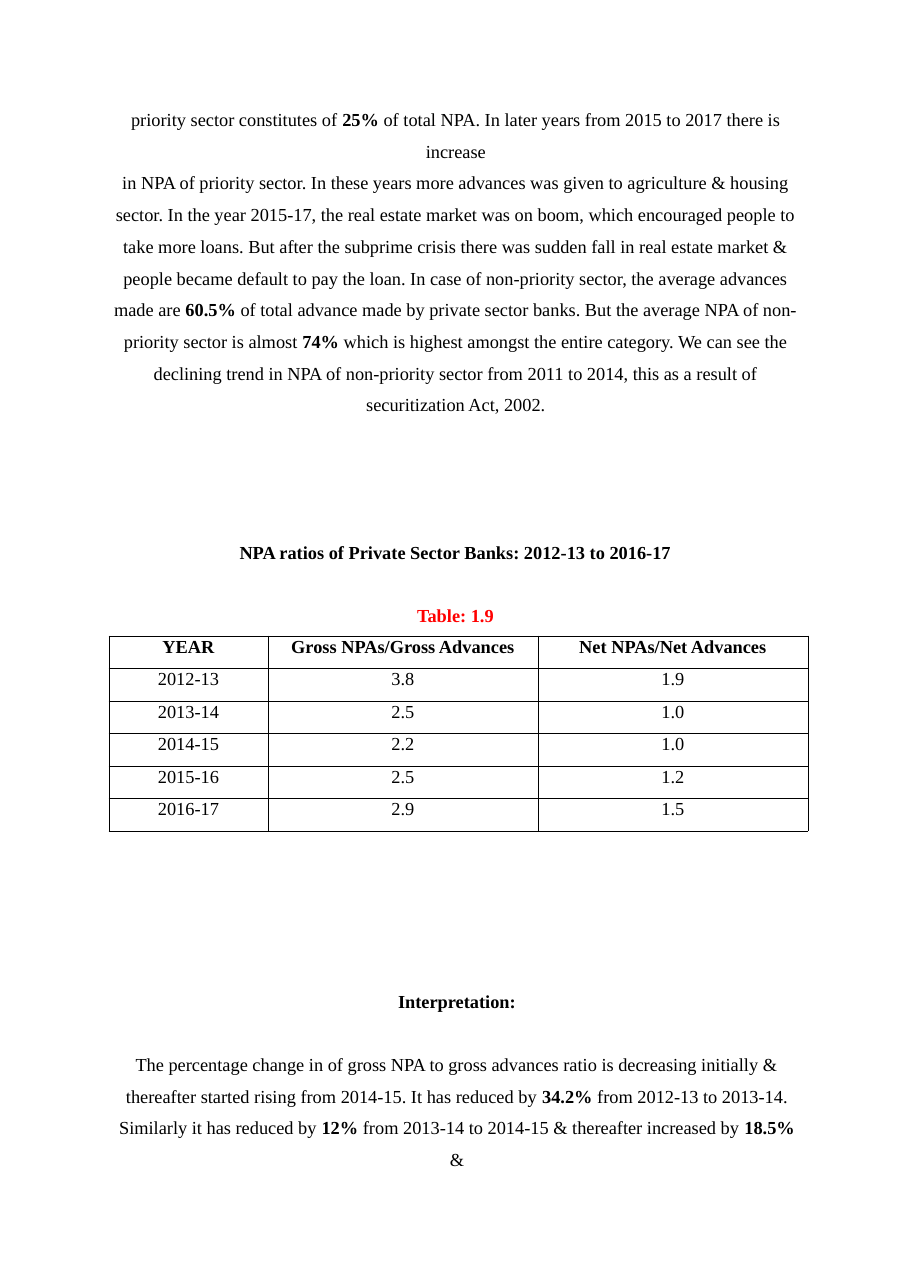
from lxml import etree
from pptx import Presentation
from pptx import util as u
from pptx.dml.color import RGBColor
from pptx.enum import text
from pptx.oxml import ns

PX = 914400 / 110.2
BLACK, RED = "000000", "FF0000"
FONT = "Times New Roman"

PRIORITY_SECTOR = (
    "priority sector constitutes of **25%** of total NPA. In later years "
    "from 2015 to 2017 there is increase")
NON_PRIORITY_SECTOR = (
    "in NPA of priority sector. In these years more advances was given to "
    "agriculture & housing sector. In the year 2015-17, the real estate market "
    "was on boom, which encouraged people to take more loans. But after the "
    "subprime crisis there was sudden fall in real estate market & people "
    "became default to pay the loan. In case of non-priority sector, the "
    "average advances made are **60.5%** of total advance made by private "
    "sector banks. But the average NPA of non-priority sector is almost "
    "**74%** which is highest amongst the entire category. We can see the "
    "declining trend in NPA of non-priority sector from 2011 to 2014, this as "
    "a result of securitization Act, 2002.")
RATIO_CHANGE = (
    "The percentage change in of gross NPA to gross advances ratio is "
    "decreasing initially & thereafter started rising from 2014-15. It has "
    "reduced by **34.2%** from 2012-13 to 2013-14. Similarly it has reduced by "
    "**12%** from 2013-14 to 2014-15 & thereafter increased by **18.5%** &")
NPA_RATIOS = [
    ("**YEAR**", "**Gross NPAs/Gross Advances**", "**Net NPAs/Net Advances**"),
    ("2012-13", "3.8", "1.9"),
    ("2013-14", "2.5", "1.0"),
    ("2014-15", "2.2", "1.0"),
    ("2015-16", "2.5", "1.2"),
    ("2016-17", "2.9", "1.5"),
]


def px(length):
    return u.Emu(round(length * PX))


def colour(hex_value):
    return RGBColor.from_string(hex_value)


def set_all(target, values):
    for name, value in values.items():
        setattr(target, name, value)


def write_paragraph(paragraph, words, ink=BLACK, **spacing):
    """Write centred words; parts between ** marks are bold."""
    set_all(paragraph, {"alignment": text.PP_ALIGN.CENTER, **spacing})
    for index, part in enumerate(words.split("**")):
        if part:
            run = paragraph.add_run()
            run.text = part
            set_all(run.font, {"name": FONT, "size": u.Pt(12),
                               "bold": index % 2 == 1})
            run.font.color.rgb = colour(ink)


def add_text(slide, left, top, width, height, paragraphs):
    frame = slide.shapes.add_textbox(
        px(left), px(top), px(width), px(height)).text_frame
    set_all(frame, {"margin_left": 0, "margin_top": px(1), "margin_right": 0,
                    "margin_bottom": 0, "word_wrap": True,
                    "auto_size": text.MSO_AUTO_SIZE.SHAPE_TO_FIT_TEXT})
    for index, (words, options) in enumerate(paragraphs):
        paragraph = frame.add_paragraph() if index else frame.paragraphs[0]
        write_paragraph(paragraph, words, **options)


def border_cell(cell):
    properties = cell._tc.get_or_add_tcPr()
    for position, side in enumerate(("lnL", "lnR", "lnT", "lnB")):
        line = etree.Element(ns.qn(f"a:{side}"), w=str(u.Pt(0.5)))
        fill = etree.SubElement(line, ns.qn("a:solidFill"))
        etree.SubElement(fill, ns.qn("a:srgbClr"), val=BLACK)
        properties.insert(position, line)


def add_ratio_table(slide, left, top, column_widths, height, rows):
    table = slide.shapes.add_table(
        len(rows), len(column_widths), px(left), px(top),
        px(sum(column_widths)), px(height)).table
    set_all(table, {"first_row": False, "horz_banding": False})
    for column, width in zip(table.columns, column_widths):
        column.width = px(width)
    for row, values in zip(table.rows, rows):
        for cell, value in zip(row.cells, values):
            set_all(cell, {"margin_left": 0, "margin_top": 0,
                           "margin_right": 0, "margin_bottom": 0})
            cell.fill.background()
            border_cell(cell)
            write_paragraph(cell.text_frame.paragraphs[0], value,
                            line_spacing=u.Pt(14))


def main():
    deck = Presentation()
    set_all(deck, {"slide_width": px(910), "slide_height": px(1288)})
    slide = deck.slides.add_slide(deck.slide_layouts[6])

    # Priority and non-priority sector discussion
    add_text(slide, 111, 98, 690, 320, [
        (PRIORITY_SECTOR, {"line_spacing": 1.43, "space_before": u.Pt(1)}),
        (NON_PRIORITY_SECTOR, {"line_spacing": 1.44}),
    ])

    # Heading and table of ratios
    add_text(slide, 237, 540, 437, 88, [
        ("**NPA ratios of Private Sector Banks: 2012-13 to 2016-17**",
         {"space_before": u.Pt(1)}),
        ("**Table: 1.9**", {"ink": RED, "space_before": u.Pt(27)}),
    ])
    add_ratio_table(slide, 109, 636, (159, 270, 270), 195, NPA_RATIOS)

    # Interpretation
    add_text(slide, 117, 989, 680, 183, [
        ("**Interpretation:**", {"space_before": u.Pt(1)}),
        (RATIO_CHANGE, {"line_spacing": 1.44, "space_before": u.Pt(20.5)}),
    ])

    deck.save("out.pptx")


if __name__ == "__main__":
    main()
